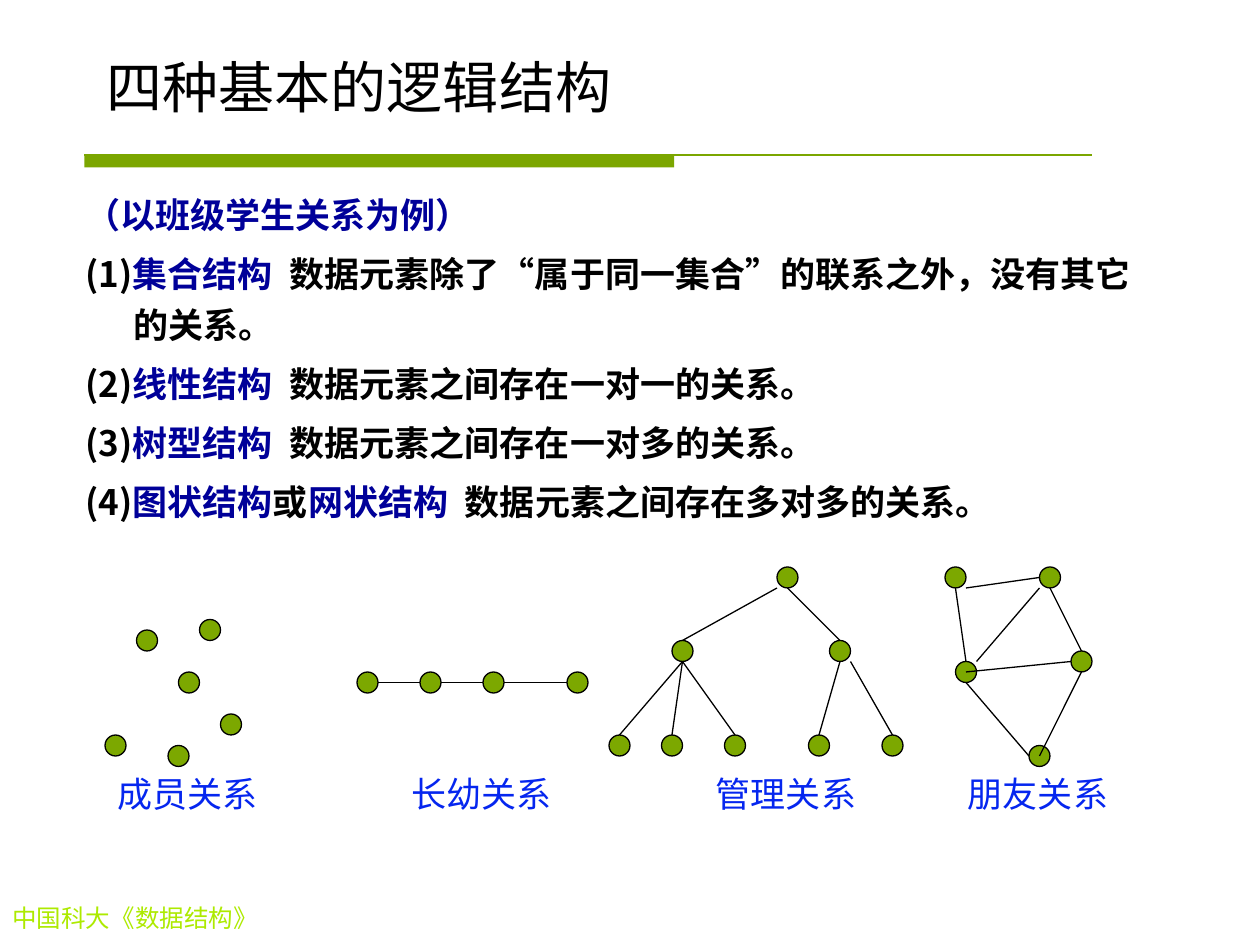
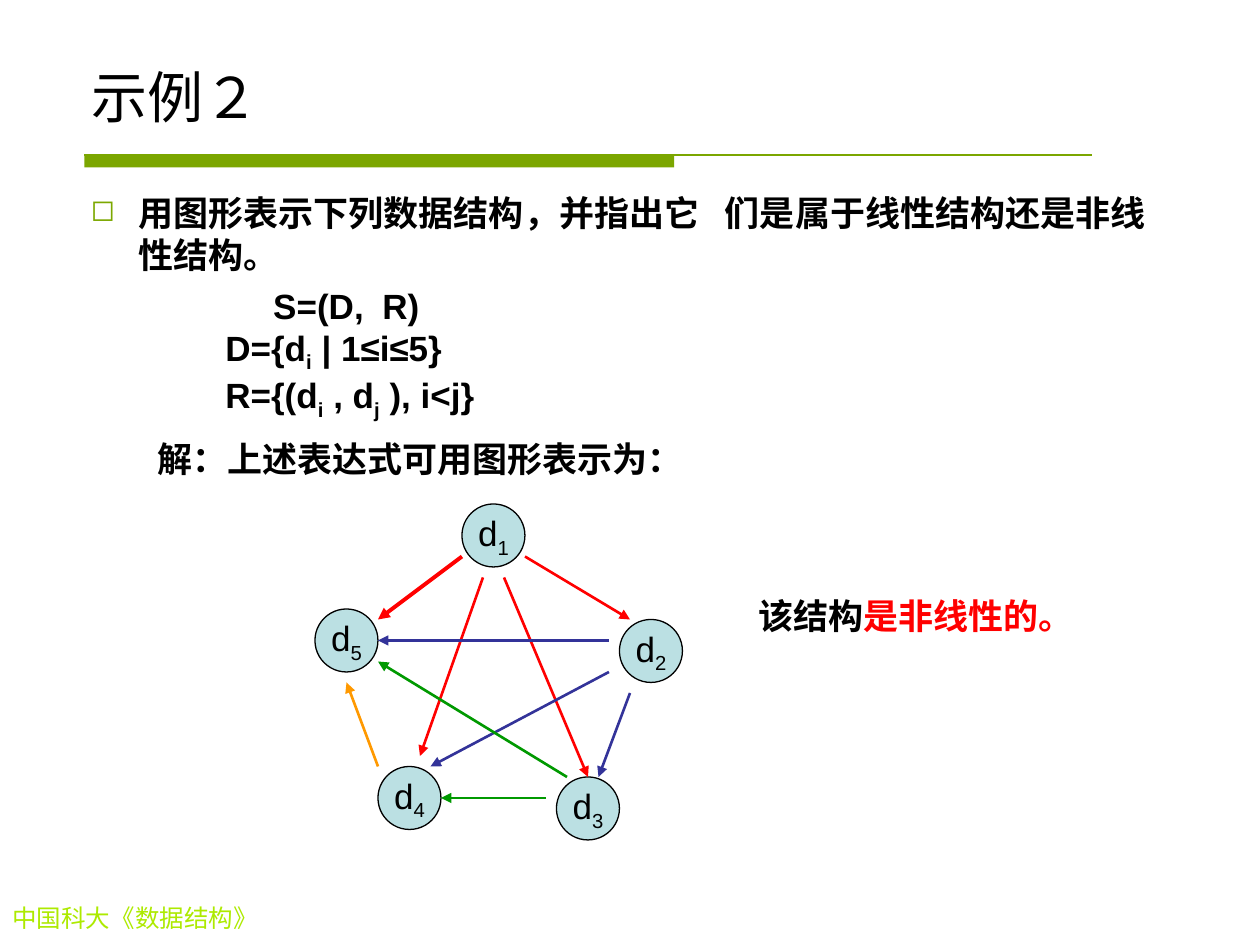
from dataclasses import dataclass
from itertools import pairwise

from lxml import etree
from pptx import Presentation
from pptx.dml.color import RGBColor
from pptx.enum import shapes, text
from pptx.oxml import ns
from pptx.util import Inches, Length, Pt

BLACK = RGBColor(0x00, 0x00, 0x00)
BAND_GREEN = RGBColor(0x7B, 0xA6, 0x00)
NODE_GREEN = RGBColor(0x7C, 0xA8, 0x00)
FOOTER_GREEN = RGBColor(0xAD, 0xEA, 0x00)
TERM_BLUE = RGBColor(0x00, 0x00, 0x99)
LABEL_BLUE = RGBColor(0x05, 0x26, 0xEF)
NODE_BLUE = RGBColor(0xBB, 0xE0, 0xE3)
RED = RGBColor(0xFF, 0x00, 0x00)
INDIGO = RGBColor(0x33, 0x33, 0x99)
GREEN = RGBColor(0x00, 0x99, 0x00)
ORANGE = RGBColor(0xFF, 0x99, 0x00)

SANS = "Arial"
SERIF = "Times New Roman"
CHINESE = "Noto Sans CJK SC"
HAIRLINE = 0.75
HANGING = 0.38

Point = tuple[int, int]


@dataclass(frozen=True)
class Piece:
    text: str
    color: RGBColor = BLACK
    subscript: bool = False
    spread: float = 0  # extra character spacing in points


@dataclass(frozen=True)
class Line:
    pieces: list[Piece]
    before: float = 0
    left: float = 0
    first: float = 0
    spacing: float = 1.0
    bullet: str = ""


@dataclass(frozen=True)
class Style:
    font: str
    size: int = 20
    bold: bool = False


@dataclass(frozen=True)
class Relation:
    label: str
    label_left: int
    label_width: int
    nodes: list[Point]
    edges: list[tuple[Point, Point]]


@dataclass(frozen=True)
class Arrow:
    start: Point
    end: Point
    color: RGBColor
    width: float = 1.5


TITLE = Style(SANS, 32)
FOOTER = Style(SERIF, 14)
LABEL = Style(SERIF)
NODE = Style(SANS)
REMARK = Style(SERIF, bold=True)
WIDE_SPACE = Piece(" ", spread=5)

# Diagram points are counted in twelfths of an inch.
LINEAR_NODES = [(34, 64), (40, 64), (46, 64), (54, 64)]
RELATIONS = [
    Relation("成员关系", 10, 16,
             [(19, 59), (13, 60), (17, 64), (10, 70), (16, 71), (21, 68)], []),
    Relation("长幼关系", 38, 18, LINEAR_NODES,
             [((a[0] + 2, a[1] + 1), (b[0], b[1] + 1))
              for a, b in pairwise(LINEAR_NODES)]),
    Relation("管理关系", 67, 22,
             [(74, 54), (64, 61), (79, 61)]
             + [(x, 70) for x in (58, 63, 69, 77, 84)],
             [((74, 56), (65, 61)), ((75, 56), (80, 61))]
             + [((65, 63), (x, 70)) for x in (59, 64, 70)]
             + [((80, 63), (78, 70)), ((81, 63), (85, 70))]),
    Relation("朋友关系", 91, 18,
             [(90, 54), (99, 54), (91, 63), (102, 62), (98, 71)],
             [((91, 56), (92, 63)), ((92, 56), (99, 55)),
              ((100, 56), (103, 62)), ((103, 64), (99, 72)),
              ((92, 65), (98, 72)), ((92, 64), (102, 63)),
              ((99, 56), (93, 63))]),
]
STRUCTURES = [
    ([Piece("集合结构", TERM_BLUE)],
     "数据元素除了“属于同一集合”的联系之外，没有其它的关系。"),
    ([Piece("线性结构", TERM_BLUE)], "数据元素之间存在一对一的关系。"),
    ([Piece("树型结构", TERM_BLUE)], "数据元素之间存在一对多的关系。"),
    ([Piece("图状结构", TERM_BLUE), Piece("或"), Piece("网状结构", TERM_BLUE)],
     "数据元素之间存在多对多的关系。"),
]
PENTAGON = [(44, 48), (59, 59), (53, 74), (36, 73), (30, 58)]
ARROWS = [
    Arrow((44, 53), (36, 59), RED, 2.25),
    Arrow((46, 55), (40, 72), RED),
    Arrow((48, 55), (56, 74), RED),
    Arrow((50, 53), (60, 59), RED),
    Arrow((58, 61), (36, 61), INDIGO),
    Arrow((58, 64), (41, 73), INDIGO),
    Arrow((60, 66), (57, 74), INDIGO),
    Arrow((54, 74), (36, 63), GREEN),
    Arrow((52, 76), (42, 76), GREEN),
    Arrow((36, 73), (33, 65), ORANGE),
]


def grid(count: float) -> Length:
    return Inches(count / 12)


def add_element(parent, tag: str, **attributes: str):
    return etree.SubElement(parent, ns.qn(tag), attributes)


def write_piece(paragraph, piece: Piece, style: Style) -> None:
    run = paragraph.add_run()
    run.text = piece.text
    run.font.name = style.font
    run.font.size = Pt(style.size)
    run.font.bold = style.bold
    run.font.color.rgb = piece.color
    properties = run.font._element
    properties.set("lang", "zh-CN")
    if piece.subscript:
        properties.set("baseline", "-25000")
    if piece.spread:
        properties.set("spc", str(round(piece.spread * 100)))
    add_element(properties, "a:ea", typeface=CHINESE)


def write_lines(frame, lines: list[Line], style: Style) -> None:
    for number, line in enumerate(lines):
        paragraph = frame.add_paragraph() if number else frame.paragraphs[0]
        paragraph.line_spacing = line.spacing
        paragraph.space_before = Pt(line.before if number else 0)
        properties = paragraph._p.get_or_add_pPr()
        properties.set("marL", str(Inches(line.left)))
        properties.set("indent", str(Inches(line.first)))
        if line.bullet:
            color = add_element(properties, "a:buClr")
            add_element(color, "a:srgbClr", val=str(NODE_GREEN))
            add_element(properties, "a:buSzPct", val="85000")
            add_element(properties, "a:buChar", char=line.bullet)
        for piece in line.pieces:
            write_piece(paragraph, piece, style)


def add_text(slide, left: Length, top: Length, width: Length, height: Length,
             lines: list[Line], style: Style, wrap: bool = True):
    box = slide.shapes.add_textbox(left, top, width, height)
    box.text_frame.word_wrap = wrap
    write_lines(box.text_frame, lines, style)
    return box


def add_line(slide, start: tuple[Length, Length], end: tuple[Length, Length],
             color: RGBColor, width: float = HAIRLINE, arrow: bool = False) -> None:
    connector = slide.shapes.add_connector(
        shapes.MSO_CONNECTOR.STRAIGHT, *start, *end)
    connector.line.color.rgb = color
    connector.line.width = Pt(width)
    if arrow:
        add_element(connector.line._get_or_add_ln(), "a:tailEnd", type="triangle")
    add_element(connector._element.spPr, "a:effectLst")


def add_node(slide, corner: Point, size: int, color: RGBColor):
    left, top = map(grid, corner)
    node = slide.shapes.add_shape(
        shapes.MSO_SHAPE.OVAL, left, top, grid(size), grid(size))
    node.shadow.inherit = False
    node.fill.solid()
    node.fill.fore_color.rgb = color
    node.line.color.rgb = BLACK
    node.line.width = Pt(HAIRLINE)
    return node


def add_base_slide(presentation, title: str, left: float, top: float, width: float):
    """Add a slide with its title, the green band and the footer."""
    slide = presentation.slides.add_slide(presentation.slide_layouts[6])
    band_left, band_top = Inches(0.67), Inches(1.23)
    band = slide.shapes.add_shape(
        shapes.MSO_SHAPE.RECTANGLE, band_left, band_top, Inches(4.68), Inches(0.1))
    band.shadow.inherit = False
    band.fill.solid()
    band.fill.fore_color.rgb = BAND_GREEN
    band.line.fill.background()
    add_line(slide, (band_left, band_top), (Inches(8.67), band_top), BAND_GREEN)
    add_text(slide, Inches(0), Inches(7.12), Inches(3.11), Inches(0.34),
             [Line([Piece("中国科大《数据结构》", FOOTER_GREEN)])], FOOTER)
    box = add_text(slide, Inches(left), Inches(top), Inches(width), Inches(0.75),
                   [Line([Piece(title)])], TITLE)
    box.text_frame.vertical_anchor = text.MSO_ANCHOR.BOTTOM
    return slide


def build_structures_slide(presentation) -> None:
    slide = add_base_slide(presentation, "四种基本的逻辑结构", 0.75, 0.25, 8.5)
    contents = [[Piece("（以班级学生关系为例）", TERM_BLUE)]]
    for number, (terms, meaning) in enumerate(STRUCTURES, 1):
        contents.append([Piece(f"({number})"), *terms, WIDE_SPACE, Piece(meaning)])
    lines = [Line(pieces, 5, HANGING, -HANGING, 1.2) for pieces in contents]
    add_text(slide, Inches(0.58), Inches(1.42), Inches(8.67), Inches(5.42),
             lines, Style(CHINESE, bold=True))
    for relation in RELATIONS:
        for corner in relation.nodes:
            add_node(slide, corner, 2, NODE_GREEN)
        for start, end in relation.edges:
            add_line(slide, tuple(map(grid, start)), tuple(map(grid, end)), BLACK)
        add_text(slide, grid(relation.label_left), grid(73),
                 grid(relation.label_width), Inches(0.44),
                 [Line([Piece(relation.label, LABEL_BLUE)])], LABEL)


def build_example_slide(presentation) -> None:
    slide = add_base_slide(presentation, "示例２", 0.63, 0.33, 8.75)
    index_i, index_j = Piece("i", subscript=True), Piece("j", subscript=True)
    lines = [
        Line([Piece("用图形表示下列数据结构，并指出它"), Piece(" ", spread=10),
              Piece("们是属于线性结构还是非线性结构。")],
             left=HANGING, first=-HANGING, bullet="◻"),
        Line([Piece("S=(D,"), WIDE_SPACE, Piece("R)")], before=5, left=1.45),
        Line([Piece("D={d"), index_i, Piece(" | 1≤i≤5}")], left=1.07),
        Line([Piece("R={(d"), index_i, Piece(" , d"), index_j,
              Piece(" ), i<j}")], left=1.07),
    ]
    add_text(slide, Inches(0.62), Inches(1.47), Inches(8.75), Inches(2.03),
             lines, Style(SANS, bold=True))
    solution = add_text(slide, Inches(1.01), Inches(3.42), Inches(4.37), Inches(0.44),
                        [Line([Piece("解：上述表达式可用图形表示为：")])],
                        REMARK, wrap=False)
    solution.text_frame.paragraphs[0].alignment = text.PP_ALIGN.CENTER
    for number, corner in enumerate(PENTAGON, 1):
        frame = add_node(slide, corner, 6, NODE_BLUE).text_frame
        frame.word_wrap = False
        frame.vertical_anchor = text.MSO_ANCHOR.MIDDLE
        write_lines(frame, [Line([Piece("d"), Piece(str(number), subscript=True)])],
                    NODE)
        frame.paragraphs[0].alignment = text.PP_ALIGN.CENTER
    for arrow in ARROWS:
        add_line(slide, tuple(map(grid, arrow.start)), tuple(map(grid, arrow.end)),
                 arrow.color, arrow.width, arrow=True)
    add_text(slide, Inches(5.92), Inches(4.67), Inches(2.7), Inches(0.44),
             [Line([Piece("该结构"), Piece("是非线性的。", RED)])], REMARK, wrap=False)


def main() -> None:
    presentation = Presentation()
    presentation.slide_width = Inches(10)
    presentation.slide_height = Inches(7.5)
    build_structures_slide(presentation)
    build_example_slide(presentation)
    presentation.save("out.pptx")


if __name__ == "__main__":
    main()
